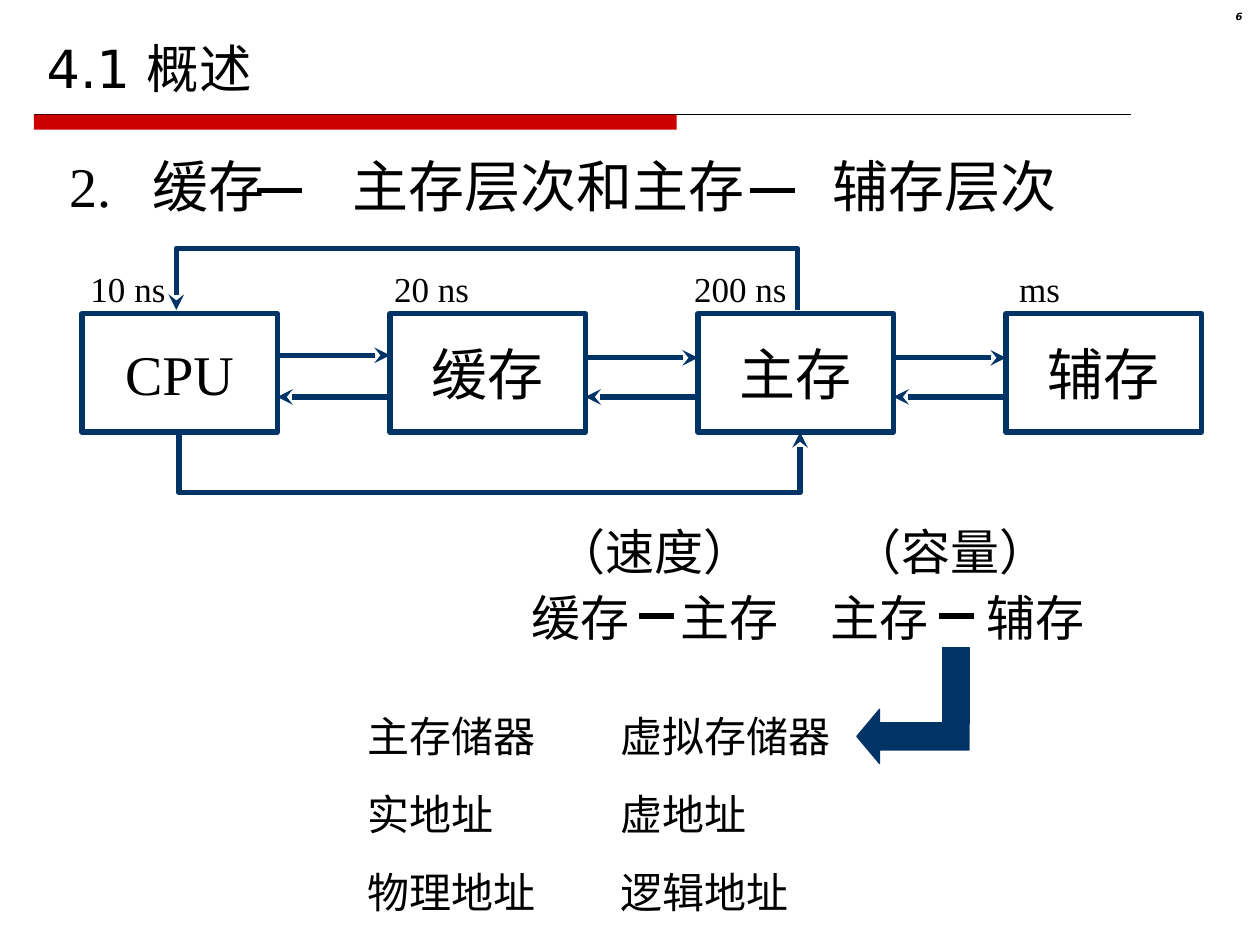
from dataclasses import dataclass

from lxml.etree import SubElement as Sub
from pptx import Presentation as Deck
from pptx.dml.color import RGBColor as Rgb
from pptx.enum.shapes import MSO_CONNECTOR as Link, MSO_SHAPE as Kind
from pptx.enum.text import MSO_ANCHOR as Anchor, PP_ALIGN as Align
from pptx.oxml.ns import qn
from pptx.util import Inches, Pt


@dataclass
class Theme:
    """Colours, fonts and type sizes of the slide."""
    ink: Rgb = Rgb(0, 0, 0)
    navy: Rgb = Rgb(0, 0x33, 0x66)
    red: Rgb = Rgb(0xCC, 0, 0)
    sans: str = "DejaVu Sans"
    serif: str = "Times New Roman"
    title: float = 30
    head: float = 32
    pair: float = 28
    term: float = 24
    time: float = 20
    page: float = 5.7
    thick: float = 3
    thin: float = 0.75


class Board:
    """Draws styled elements on the current slide."""

    def __init__(self, deck, theme):
        self.look = theme
        self.slide = deck.slides.add_slide(deck.slide_layouts[5])
        self.shapes = self.slide.shapes

    def style(self, para, size, face=None, align=Align.LEFT):
        para.alignment = align
        for run in para.runs:
            run.font.size = Pt(size)
            run.font.name = face or self.look.serif
            run.font.color.rgb = self.look.ink

    def title(self, text, x, y, w, h):
        box = self.shapes.title
        box.left, box.top, box.width, box.height = map(Inches, (x, y, w, h))
        box.text_frame.text = text
        box.text_frame.vertical_anchor = Anchor.BOTTOM
        self.style(box.text_frame.paragraphs[0], self.look.title, self.look.sans)

    def text(self, text, x, y, size, w=None, face=None, align=Align.LEFT):
        w = w or len(text) * size / 72 + 0.2
        h = size * 1.2 / 72 + 0.1
        box = self.shapes.add_textbox(*map(Inches, (x, y, w, h)))
        box.text_frame.word_wrap = False
        box.text_frame.text = text
        para = box.text_frame.paragraphs[0]
        self.style(para, size, face, align)
        return para

    def tabbed(self, parts, x, y, w, stops):
        para = self.text("\t".join(parts), x, y, self.look.head, w)
        tabs = Sub(para._p.get_or_add_pPr(), qn("a:tabLst"))
        for stop in stops:
            Sub(tabs, qn("a:tab"), pos=str(Inches(stop)), algn="l")

    def page(self, text, x, y, w):
        look = self.look
        para = self.text(text, x, y, look.page, w, look.sans, Align.RIGHT)
        para.line_spacing = 0.8
        font = para.runs[0].font
        font.bold = font.italic = True

    def stroke(self, line, tone, width, tip=False):
        line.color.rgb = tone
        line.width = Pt(width)
        if tip:
            Sub(line._get_or_add_ln(), qn("a:tailEnd"), type="stealth")

    def solid(self, kind, x, y, w, h, tone):
        shape = self.shapes.add_shape(kind, *map(Inches, (x, y, w, h)))
        shape.shadow.inherit = False
        shape.fill.solid()
        shape.fill.fore_color.rgb = tone
        self.stroke(shape.line, tone, self.look.thin)
        return shape

    def node(self, text, x, y, w, h):
        shape = self.shapes.add_shape(Kind.RECTANGLE, *map(Inches, (x, y, w, h)))
        shape.shadow.inherit = False
        shape.fill.background()
        self.stroke(shape.line, self.look.navy, self.look.thick)
        shape.text_frame.text = text
        shape.text_frame.vertical_anchor = Anchor.MIDDLE
        self.style(shape.text_frame.paragraphs[0], self.look.head, align=Align.CENTER)

    def line(self, start, end, y, tone, width, tip=False):
        ends = map(Inches, (start, y, end, y))
        link = self.shapes.add_connector(Link.STRAIGHT, *ends)
        self.stroke(link.line, tone, width, tip)
        Sub(link._element.spPr, qn("a:effectLst"))

    def dash(self, x, y, w):
        self.line(x, x + w, y, self.look.ink, self.look.thick)

    def loop(self, start, end, base, far):
        pts = [(start, base), (start, far), (end, far), (end, base)]
        pts = [(Inches(x), Inches(y)) for x, y in pts]
        form = self.shapes.build_freeform(*pts[0], scale=1.0)
        form.add_line_segments(pts[1:], close=False)
        shape = form.convert_to_shape()
        shape.shadow.inherit = False
        shape.fill.background()
        self.stroke(shape.line, self.look.navy, self.look.thick, True)


def main():
    """Build the memory hierarchy slide."""
    deck = Deck()
    deck.slide_width, deck.slide_height = Inches(10), Inches(7.5)
    look = Theme()
    board = Board(deck, look)

    board.title("4.1 概述", 0.27, 0.13, 9.45, 0.71)
    board.page("6", 9.37, 0.05, 0.59)
    board.line(0.27, 8.98, 0.91, look.ink, look.thin)
    bar = board.solid(Kind.RECTANGLE, 0.27, 0.91, 5.1, 0.12, look.red)
    bar.line.fill.background()

    parts = ["2.", "缓存", "主存层次和主存", "辅存层次"]
    board.tabbed(parts, 0.45, 1.15, 8.04, [0.66, 2.25, 6.06])
    for x in (2.04, 5.95):
        board.dash(x, 1.51, 0.36)

    left, step, top, wide, high = 0.65, 2.445, 2.49, 1.55, 0.94
    for i, name in enumerate(["CPU", "缓存", "主存", "辅存"]):
        board.node(name, left + i * step, top, wide, high)
    for i in range(3):
        start, end = left + wide + i * step, left + (i + 1) * step
        board.line(start, end, 2.82 if i == 0 else 2.84, look.navy, look.thick, True)
        board.line(end, start, 3.15, look.navy, look.thick, True)
    board.loop(1.42, 6.35, top + high, 3.91)
    board.loop(6.33, 1.4, 2.46, 1.97)

    times = [("10 ns", 0.62, 0.87), ("20 ns", 3.03, 0.87),
             ("200 ns", 5.41, 1.01), ("ms", 7.99, 0.6)]
    for name, x, w in times:
        board.text(name, x, 2.07, look.time, w)

    pairs = [("（速度）", 4.32, "缓存", 4.12, "主存", 5.3, 5.07),
             ("（容量）", 6.67, "主存", 6.49, "辅存", 7.73, 7.45)]
    for goal, mid, near, x, far, end, gap in pairs:
        board.text(goal, mid, 4.09, look.pair)
        board.text(near, x, 4.61, look.pair)
        board.text(far, end, 4.61, look.pair)
        board.dash(gap, 4.89, 0.28)

    board.solid(Kind.RECTANGLE, 7.48, 5.14, 0.21, 0.6, look.navy)
    arrow = board.solid(Kind.LEFT_ARROW, 6.8, 5.63, 0.89, 0.43, look.navy)
    arrow.adjustments[0], arrow.adjustments[1] = 0.5, 0.42

    terms = [("主存储器", "虚拟存储器"), ("实地址", "虚地址"), ("物理地址", "逻辑地址")]
    for i, row in enumerate(terms):
        for name, x in zip(row, (2.82, 4.83)):
            board.text(name, x, 5.59 + i * 0.62, look.term)

    deck.save("out.pptx")


if __name__ == "__main__":
    main()
